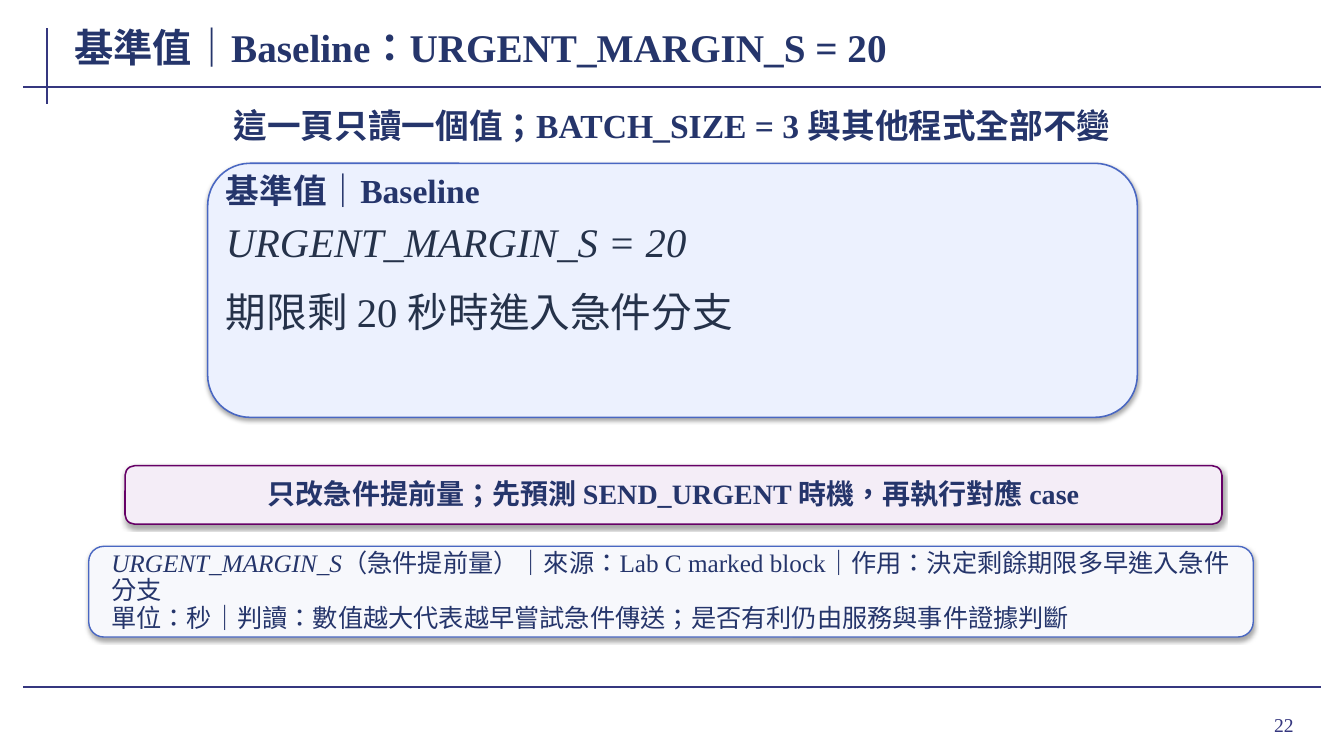
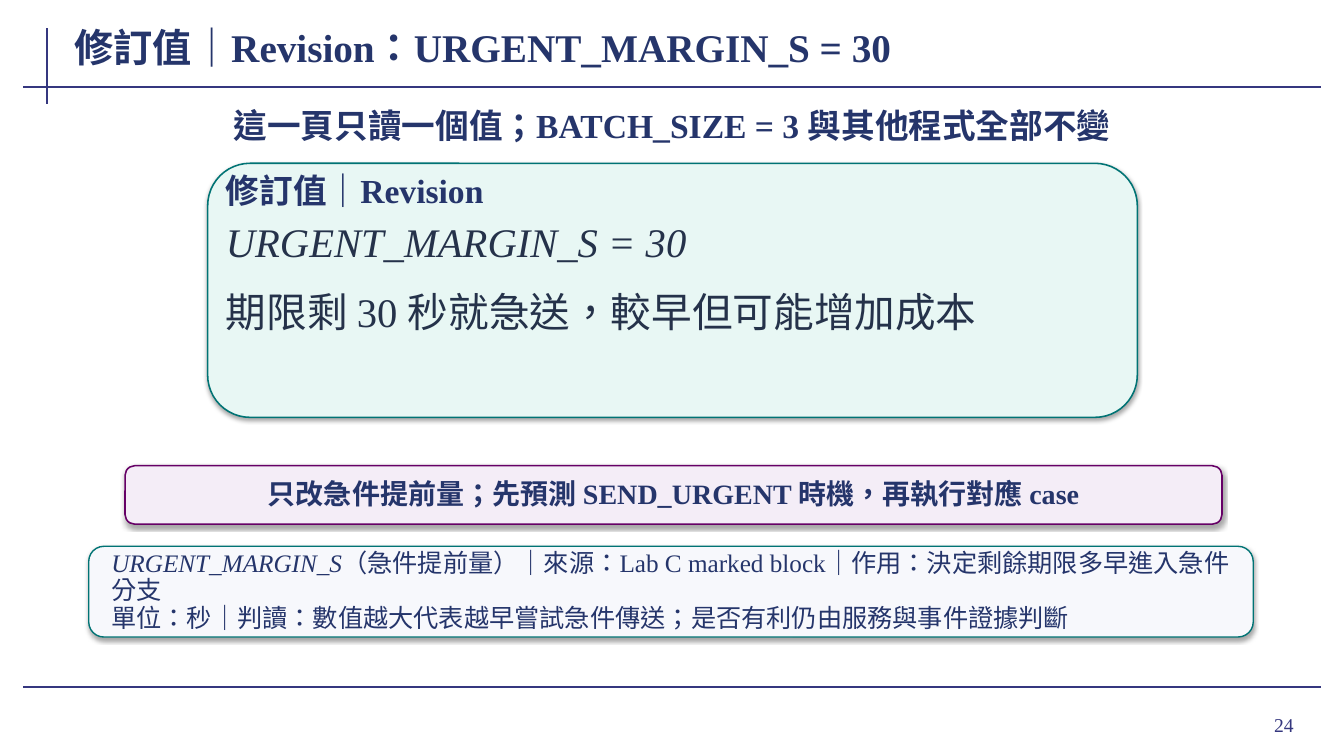
from lxml import etree
from pptx import Presentation
from pptx.dml.color import RGBColor
from pptx.enum.lang import MSO_LANGUAGE_ID
from pptx.enum.shapes import MSO_CONNECTOR, MSO_SHAPE
from pptx.enum.text import MSO_ANCHOR, MSO_AUTO_SIZE, PP_ALIGN
from pptx.oxml.ns import qn
from pptx.util import Pt

PX = 9144  # EMU in one px, 100 px to the inch
PAGE_SIZE = (1333, 750)
FONT = "Times New Roman"
TAIWAN = MSO_LANGUAGE_ID.TRADITIONAL_CHINESE
STRAIGHT, ROUNDED = MSO_CONNECTOR.STRAIGHT, MSO_SHAPE.ROUNDED_RECTANGLE
LEFT, CENTER, RIGHT = PP_ALIGN.LEFT, PP_ALIGN.CENTER, PP_ALIGN.RIGHT
TOP, MIDDLE = MSO_ANCHOR.TOP, MSO_ANCHOR.MIDDLE

RULE = RGBColor(0x35, 0x37, 0x7F)
NAVY = RGBColor(0x25, 0x35, 0x6B)
INK = RGBColor(0x25, 0x32, 0x4A)
BLUE = RGBColor(0x49, 0x67, 0xC2)
BLUE_TINT = RGBColor(0xEC, 0xF1, 0xFE)
TEAL = RGBColor(0x00, 0x73, 0x74)
TEAL_TINT = RGBColor(0xE8, 0xF7, 0xF4)
PURPLE = RGBColor(0x66, 0x00, 0x66)
PURPLE_TINT = RGBColor(0xF4, 0xED, 0xF7)
NOTE_TINT = RGBColor(0xF7, 0xF8, 0xFC)

SLIDES = [
    {"number": 22, "name": "基準值｜Baseline", "setting": "URGENT_MARGIN_S = 20",
     "meaning": "期限剩 20 秒時進入急件分支", "accent": BLUE, "tint": BLUE_TINT},
    {"number": 24, "name": "修訂值｜Revision", "setting": "URGENT_MARGIN_S = 30",
     "meaning": "期限剩 30 秒就急送，較早但可能增加成本", "accent": TEAL, "tint": TEAL_TINT},
]
LEAD = "這一頁只讀一個值；BATCH_SIZE = 3 與其他程式全部不變"
TASK = "只改急件提前量；先預測 SEND_URGENT 時機，再執行對應 case"
PARAMETER = "URGENT_MARGIN_S"
SOURCE = "（急件提前量）｜來源：Lab C marked block｜作用：決定剩餘期限多早進入急件分支"
READING = "單位：秒｜判讀：數值越大代表越早嘗試急件傳送；是否有利仍由服務與事件證據判斷"

# Start and end points, then boxes as left, top, width, height, in px
RULES = [(47, 28, 47, 103), (23, 86, 1310, 86), (23, 682, 1310, 682)]
TITLE_BOX = (72, 20, 1035, 53)
LEAD_BOX = (94, 98, 1145, 52)
CARD_BOX = (206, 162, 922, 252)
CARD_NAME_BOX = (222, 172, 890, 46)
CARD_BODY_BOX = (222, 220, 890, 186)
TASK_BOX = (124, 462, 1088, 58)
NOTE_BOX = (88, 542, 1155, 90)
NUMBER_BOX = (1196, 693, 97, 52)

# Fonts: size, colour, bold
TITLE_STYLE = (28, NAVY, True)
HEADING_STYLE = (24, NAVY, True)
BODY_STYLE = (29, INK, False)
TASK_STYLE = (20, NAVY, True)
NOTE_STYLE = (18, NAVY, False)
NUMBER_STYLE = (14, RULE, False)


def scaled(lengths):
    return [length * PX for length in lengths]


def set_all(target, values):
    for name, value in values.items():
        setattr(target, name, value)


def write(shape, paragraphs, style, inset=(2, 1), anchor=MIDDLE, align=LEFT,
          line_spacing=1.0, gap=0):
    """Fill a shape; each paragraph is a list of (text, italic) spans."""
    size, color, bold = style
    across, down = scaled(inset)
    frame = shape.text_frame
    set_all(frame, {"word_wrap": True, "auto_size": MSO_AUTO_SIZE.NONE,
                    "vertical_anchor": anchor, "margin_left": across, "margin_right": across,
                    "margin_top": down, "margin_bottom": down})
    for index, spans in enumerate(paragraphs):
        para = frame.add_paragraph() if index else frame.paragraphs[0]
        set_all(para, {"alignment": align, "line_spacing": line_spacing,
                       "space_before": Pt(gap if index else 0)})
        for text, italic in spans:
            span = para.add_run()
            span.text = text
            set_all(span.font, {"name": FONT, "size": Pt(size), "bold": bold,
                                "italic": italic, "language_id": TAIWAN})
            span.font.color.rgb = color


def add_text(slide, box, paragraphs, style, **layout):
    write(slide.shapes.add_textbox(*scaled(box)), paragraphs, style, **layout)


def add_panel(slide, box, fill, outline, width):
    """Add a rounded panel with a soft shadow below it."""
    panel = slide.shapes.add_shape(ROUNDED, *scaled(box))
    panel.fill.solid()
    panel.fill.fore_color.rgb = fill
    panel.line.color.rgb = outline
    panel.line.width = Pt(width)
    panel.shadow.inherit = False
    effects = panel.element.spPr.find(qn("a:effectLst"))
    shadow = etree.SubElement(effects, qn("a:outerShdw"), blurRad=str(Pt(3.1)),
                              dist=str(Pt(1.8)), dir="5400000", rotWithShape="0")
    black = etree.SubElement(shadow, qn("a:srgbClr"), val="000000")
    etree.SubElement(black, qn("a:alpha"), val="35000")
    return panel


def add_frame(slide, title, number):
    """Add the rules, title and page number that every slide has."""
    for ends in RULES:
        rule = slide.shapes.add_connector(STRAIGHT, *scaled(ends))
        rule.line.color.rgb = RULE
        rule.line.width = Pt(1.5)
        etree.SubElement(rule.element.spPr, qn("a:effectLst"))
    heading = slide.shapes.title
    set_all(heading, dict(zip(("left", "top", "width", "height"), scaled(TITLE_BOX))))
    write(heading, [[(title, False)]], TITLE_STYLE, inset=(2, 0))
    add_text(slide, NUMBER_BOX, [[(str(number), False)]], NUMBER_STYLE,
             inset=(10, 5), align=RIGHT)


def add_value_slide(deck, value):
    slide = deck.slides.add_slide(deck.slide_layouts[5])
    add_frame(slide, f"{value['name']}：{value['setting']}", value["number"])
    add_text(slide, LEAD_BOX, [[(LEAD, False)]], HEADING_STYLE, align=CENTER)

    add_panel(slide, CARD_BOX, value["tint"], value["accent"], 1.1)
    add_text(slide, CARD_NAME_BOX, [[(value["name"], False)]], HEADING_STYLE,
             anchor=TOP, line_spacing=0.9)
    add_text(slide, CARD_BODY_BOX, [[(value["setting"], True)], [(value["meaning"], False)]],
             BODY_STYLE, anchor=TOP, line_spacing=0.9, gap=18.6)

    task = add_panel(slide, TASK_BOX, PURPLE_TINT, PURPLE, 1.1)
    write(task, [[(TASK, False)]], TASK_STYLE, inset=(12, 4), align=CENTER, line_spacing=0.95)
    note = add_panel(slide, NOTE_BOX, NOTE_TINT, value["accent"], 1)
    write(note, [[(PARAMETER, True), (SOURCE, False)], [(READING, False)]], NOTE_STYLE,
          inset=(18, 3), line_spacing=0.9)


def main():
    deck = Presentation()
    deck.slide_width, deck.slide_height = scaled(PAGE_SIZE)
    for value in SLIDES:
        add_value_slide(deck, value)
    deck.save("out.pptx")


if __name__ == "__main__":
    main()
